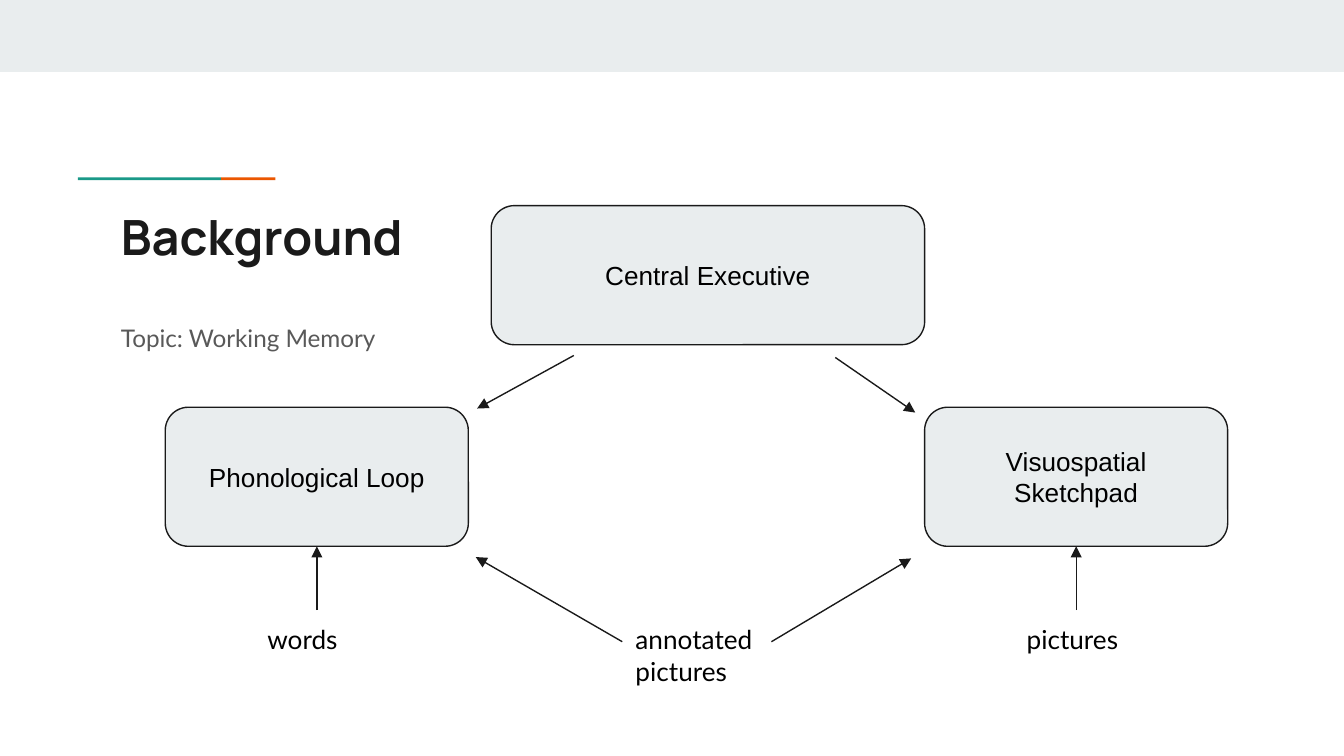
from lxml import etree
from pptx import Presentation, util as u
from pptx.dml.color import RGBColor
from pptx.enum import shapes, text
from pptx.oxml.ns import qn

PX = 4572
COLORS = {"band": "E9EDEE", "orange": "EB5600", "green": "1A9988",
          "ink": "1A1A1A", "gray": "595959", "black": "000000"}
INSET = 20 * PX


def write(shape, words, font, color, frame=None, paragraph_format=None):
    text_frame = shape.text_frame
    text_frame.text = words
    frame_values = {"word_wrap": True, "auto_size": text.MSO_AUTO_SIZE.NONE,
                    "vertical_anchor": text.MSO_ANCHOR.TOP,
                    "margin_left": INSET, "margin_right": INSET,
                    "margin_top": INSET, "margin_bottom": INSET, **(frame or {})}
    for name, value in frame_values.items():
        setattr(text_frame, name, value)
    paragraph = text_frame.paragraphs[0]
    paragraph_values = {"alignment": text.PP_ALIGN.LEFT, "space_before": u.Pt(0),
                        **(paragraph_format or {})}
    for name, value in paragraph_values.items():
        setattr(paragraph, name, value)
    run = paragraph.runs[0]
    for name, value in font.items():
        setattr(run.font, name, value)
    run.font.color.rgb = RGBColor.from_string(COLORS[color])


def add_block(slide, kind, box, color):
    shape = slide.shapes.add_shape(kind, *[n * PX for n in box])
    shape.shadow.inherit = False
    shape.fill.solid()
    shape.fill.fore_color.rgb = RGBColor.from_string(COLORS[color])
    shape.line.fill.background()
    return shape


presentation = Presentation()
presentation.slide_width = 2000 * PX
presentation.slide_height = 1125 * PX
slide = presentation.slides.add_slide(presentation.slide_layouts[1])

title, body = slide.placeholders
for placeholder, box in [(title, (160, 288, 1682, 118)), (body, (160, 454, 1682, 494))]:
    for name, value in zip(("left", "top", "width", "height"), box):
        setattr(placeholder, name, value * PX)
write(title, "Background", {"name": "Manrope", "size": u.Pt(26), "bold": True}, "ink")
write(body, "Topic: Working Memory", {"name": "Lato", "size": u.Pt(13)}, "gray",
      paragraph_format={"line_spacing": 1.15, "space_after": u.Pt(16)})
properties = body.text_frame.paragraphs[0]._p.get_or_add_pPr()
properties.set("marL", "0")
properties.set("indent", "0")
etree.SubElement(properties, qn("a:buNone"))

for box, color in [((0, 0, 2000, 107), "band"),
                   ((116, 264, 213, 4), "green"),
                   ((329, 264, 81, 4), "orange")]:
    add_block(slide, shapes.MSO_SHAPE.RECTANGLE, box, color)

components = {}
for words, box in [("Central Executive", (731, 306, 645, 207)),
                   ("Phonological Loop", (246, 606, 451, 207)),
                   ("Visuospatial Sketchpad", (1376, 606, 451, 207))]:
    shape = add_block(slide, shapes.MSO_SHAPE.ROUNDED_RECTANGLE, box, "band")
    shape.line.color.rgb = RGBColor.from_string(COLORS["ink"])
    shape.line.width = u.Pt(0.75)
    write(shape, words, {"name": "Arial", "size": u.Pt(14)}, "black",
          {"vertical_anchor": text.MSO_ANCHOR.MIDDLE},
          {"alignment": text.PP_ALIGN.CENTER})
    components[words] = shape

inputs = {}
for words, left, width in [("words", 378, 187), ("pictures", 1508, 187),
                           ("annotated pictures", 926, 222)]:
    label = slide.shapes.add_textbox(left * PX, 908 * PX, width * PX, 94 * PX)
    write(label, words, {"name": "Lato", "size": u.Pt(14)}, "black")
    inputs[words] = label

loop, sketchpad = components["Phonological Loop"], components["Visuospatial Sketchpad"]
annotated = inputs["annotated pictures"]
for points, begin, end in [
        ((854, 529, 710, 608), None, None),
        ((1243, 532, 1362, 614), None, None),
        ((471, 908, 471, 813), (inputs["words"], 0), (loop, 2)),
        ((1601, 908, 1601, 813), (inputs["pictures"], 0), (sketchpad, 2)),
        ((1148, 955, 1356, 831), (annotated, 3), None),
        ((926, 955, 708, 829), (annotated, 1), None)]:
    arrow = slide.shapes.add_connector(shapes.MSO_CONNECTOR.STRAIGHT,
                                       *[n * PX for n in points])
    if begin:
        arrow.begin_connect(*begin)
    if end:
        arrow.end_connect(*end)
    arrow.line.color.rgb = RGBColor.from_string(COLORS["ink"])
    arrow.line.width = u.Pt(0.75)
    etree.SubElement(arrow.line._get_or_add_ln(), qn("a:tailEnd"), type="triangle")
    etree.SubElement(arrow._element.spPr, qn("a:effectLst"))

presentation.save("out.pptx")
